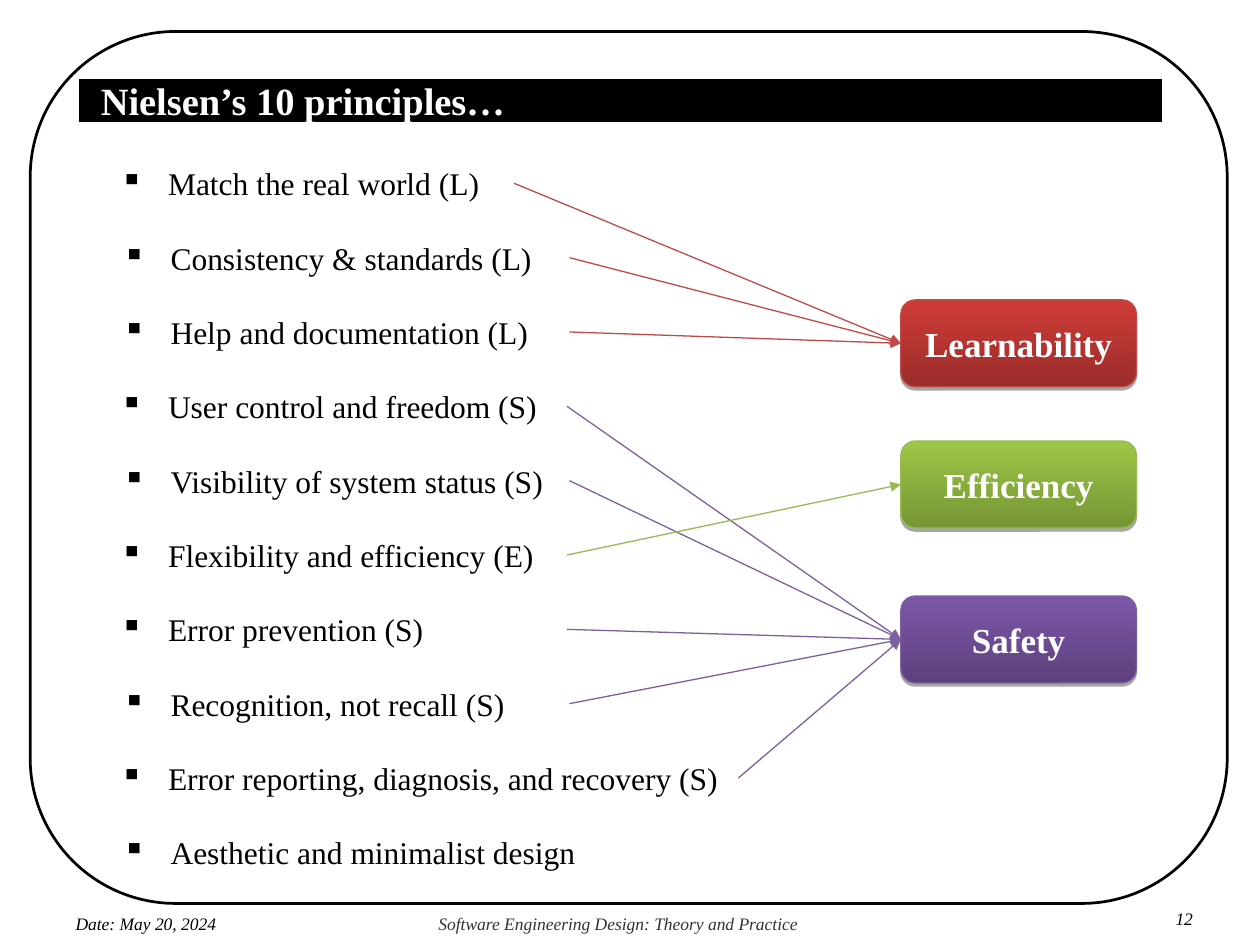
from lxml import etree
from pptx import Presentation
from pptx.dml.color import RGBColor
from pptx.enum.shapes import MSO_CONNECTOR as Connector, MSO_SHAPE as Shape
from pptx.enum.text import MSO_ANCHOR as Anchor, MSO_AUTO_SIZE as AutoSize, PP_ALIGN as Align
from pptx.oxml.ns import qn
from pptx.util import Inches, Pt

BLACK = RGBColor(0x00, 0x00, 0x00)
WHITE = RGBColor(0xFF, 0xFF, 0xFF)
GREY = RGBColor(0x33, 0x33, 0x33)
RED = RGBColor(0xBE, 0x4B, 0x48)
RED_DARK = RGBColor(0x9B, 0x2D, 0x2A)
RED_LIGHT = RGBColor(0xCE, 0x3B, 0x37)
GREEN = RGBColor(0x98, 0xB9, 0x54)
GREEN_DARK = RGBColor(0x76, 0x95, 0x35)
GREEN_LIGHT = RGBColor(0x9C, 0xC7, 0x46)
PURPLE = RGBColor(0x7D, 0x60, 0xA0)
PURPLE_DARK = RGBColor(0x5D, 0x41, 0x7E)
PURPLE_LIGHT = RGBColor(0x7B, 0x57, 0xA8)

# Goal: top, line colour, dark and light gradient colours
GOALS = {
    "Learnability": (2.38, RED, RED_DARK, RED_LIGHT),
    "Safety": (4.73, PURPLE, PURPLE_DARK, PURPLE_LIGHT),
    "Efficiency": (3.5, GREEN, GREEN_DARK, GREEN_LIGHT),
}
# Principle, left, width, goal it serves
PRINCIPLES = [
    ("Match the real world (L)", 0.83, 3.25, "Learnability"),
    ("Consistency & standards (L)", 0.85, 3.67, "Learnability"),
    ("Help and documentation (L)", 0.85, 3.67, "Learnability"),
    ("User control and freedom (S)", 0.83, 3.67, "Safety"),
    ("Visibility of system status (S)", 0.85, 3.67, "Safety"),
    ("Flexibility and efficiency (E)", 0.83, 3.67, "Efficiency"),
    ("Error prevention (S)", 0.83, 3.67, "Safety"),
    ("Recognition, not recall (S)", 0.85, 3.67, "Safety"),
    ("Error reporting, diagnosis, and recovery (S)", 0.83, 5.03, "Safety"),
    ("Aesthetic and minimalist design", 0.85, 5.03, None),
]
FIRST_TOP, ROW_STEP, ROW_HEIGHT = 1.19, 0.59, 0.53
LEFT_SITE, RIGHT_SITE = 1, 3
# Footer text, left, top, width, indent, colour
FOOTERS = [
    ("Software Engineering Design: Theory and Practice", 3.47, 7.25, 2.89, 0.01, GREY),
    ("Date: May 20, 2024", 0.59, 7.25, 1.58, 0.01, BLACK),
    ("12", 9.22, 7.21, 0.27, 0.11, BLACK),
]


class SlideBuilder:
    font_name = "Times New Roman"

    def __init__(self, page):
        self.page = page

    def set_text(self, shape, text, size, color, bold=False, italic=False):
        shape.text_frame.text = text
        para = shape.text_frame.paragraphs[0]
        font = para.runs[0].font
        font.name, font.size = self.font_name, Pt(size)
        font.bold, font.italic = bold, italic
        font.color.rgb = color
        return para

    def set_margins(self, shape, left):
        frame = shape.text_frame
        frame.margin_left = Inches(left)
        frame.margin_right = frame.margin_top = frame.margin_bottom = 0

    def rounded(self, left, top, width, height, line_color, line_width):
        box = self.page.shapes.add_shape(
            Shape.ROUNDED_RECTANGLE,
            Inches(left), Inches(top), Inches(width), Inches(height))
        box.shadow.inherit = False
        box.line.color.rgb = line_color
        box.line.width = Pt(line_width)
        box.text_frame.word_wrap = True
        box.text_frame.vertical_anchor = Anchor.MIDDLE
        return box

    def frame(self):
        box = self.rounded(0.24, 0.25, 9.5, 6.92, BLACK, 1.56)
        box.fill.background()

    def title(self, text):
        title = self.page.shapes.title
        title.left, title.top = Inches(0.61), Inches(0.61)
        title.width, title.height = Inches(8.63), Inches(0.37)
        title.fill.solid()
        title.fill.fore_color.rgb = BLACK
        title.line.color.rgb = WHITE
        title.line.width = Pt(2)
        title.text_frame.auto_size = AutoSize.NONE
        title.text_frame.vertical_anchor = Anchor.TOP
        self.set_margins(title, 0.19)
        para = self.set_text(title, text, 22, WHITE, bold=True)
        para.alignment = Align.LEFT

    def goal(self, text, top, line_color, dark, light):
        box = self.rounded(7.15, top, 1.87, 0.69, line_color, 0.75)
        box.fill.gradient()
        box.fill.gradient_angle = 90
        for stop, color in zip(box.fill.gradient_stops, (dark, light)):
            stop.color.rgb = color
        # Grey shadow just below the box
        effects = box._element.spPr.find(qn("a:effectLst"))
        shadow = etree.SubElement(effects, qn("a:outerShdw"), dist=str(Pt(1.8)),
                                  dir="5400000", rotWithShape="0")
        black = etree.SubElement(shadow, qn("a:srgbClr"), val=str(BLACK))
        etree.SubElement(black, qn("a:alpha"), val="35000")
        para = self.set_text(box, text, 20, WHITE, bold=True)
        para.alignment = Align.CENTER
        return box

    def principle(self, text, left, top, width):
        box = self.rounded(left, top, width, ROW_HEIGHT, WHITE, 2)
        box.fill.solid()
        box.fill.fore_color.rgb = WHITE
        para = self.set_text(box, text, 18, BLACK)
        para.alignment = Align.JUSTIFY
        para.space_after = Pt(6)
        # Hanging square bullet
        props = para._p.get_or_add_pPr()
        props.set("marL", str(Inches(0.38)))
        props.set("indent", str(-Inches(0.38)))
        bullet_color = etree.SubElement(props, qn("a:buClr"))
        etree.SubElement(bullet_color, qn("a:srgbClr"), val=str(BLACK))
        etree.SubElement(props, qn("a:buChar"), char="▪")
        return box

    def arrow(self, source, target, color):
        arrow = self.page.shapes.add_connector(Connector.STRAIGHT, 0, 0, 0, 0)
        arrow.begin_connect(source, RIGHT_SITE)
        arrow.end_connect(target, LEFT_SITE)
        arrow.line.color.rgb = color
        arrow.line.width = Pt(0.75)
        properties = arrow._element.spPr
        etree.SubElement(properties.find(qn("a:ln")), qn("a:tailEnd"), type="triangle")
        etree.SubElement(properties, qn("a:effectLst"))

    def footer(self, text, left, top, width, indent, color):
        box = self.page.shapes.add_textbox(
            Inches(left), Inches(top), Inches(width), Inches(0.16))
        box.text_frame.word_wrap = True
        self.set_margins(box, indent)
        para = self.set_text(box, text, 10, color, italic=True)
        para.line_spacing = Pt(11.8)


def main():
    deck = Presentation()
    deck.slide_width, deck.slide_height = Inches(10), Inches(7.5)
    builder = SlideBuilder(deck.slides.add_slide(deck.slide_layouts[5]))

    # Frame and title band
    builder.frame()
    builder.title("Nielsen’s 10 principles…")

    # Goals on the right, principles on the left
    goals = {name: builder.goal(name, *look) for name, look in GOALS.items()}
    rows = [builder.principle(text, left, FIRST_TOP + index * ROW_STEP, width)
            for index, (text, left, width, _) in enumerate(PRINCIPLES)]

    # Arrows from each principle to its goal
    for row, (*_, goal) in zip(rows, PRINCIPLES):
        if goal:
            builder.arrow(row, goals[goal], GOALS[goal][1])

    # Footer
    for footer in FOOTERS:
        builder.footer(*footer)

    deck.save("out.pptx")


if __name__ == "__main__":
    main()
